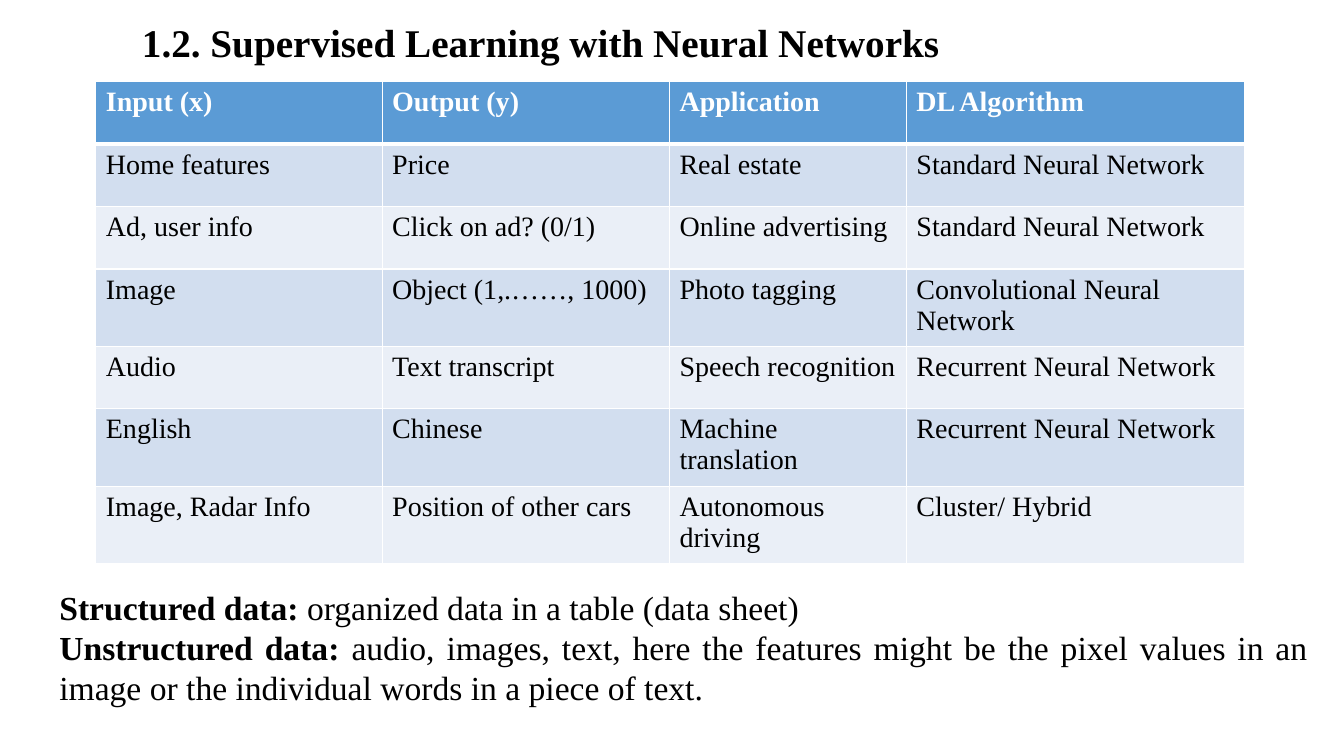
from dataclasses import dataclass

from lxml.etree import SubElement
from pptx import Presentation
from pptx.dml.color import RGBColor
from pptx.enum.text import MSO_AUTO_SIZE as AutoSize, PP_ALIGN as Align
from pptx.oxml.ns import qn
from pptx.slide import Slide
from pptx.table import _Cell as Cell
from pptx.text.text import TextFrame, _Paragraph as Paragraph
from pptx.util import Inches, Pt

FONT = "Times New Roman"
BLACK, WHITE = "000000", "FFFFFF"
HEADER_FILL, BAND_FILLS = "5B9BD5", ("D2DEEF", "EAEFF7")
COL_WIDTHS = (2.84, 2.85, 2.35, 3.35)
ROW_HEIGHT = 0.62


@dataclass
class Example:
    input: str
    output: str
    application: str
    algorithm: str

    def cells(self) -> tuple[str, ...]:
        return self.input, self.output, self.application, self.algorithm


@dataclass
class Definition:
    term: str
    meaning: str


HEADER = Example("Input (x)", "Output (y)", "Application", "DL Algorithm")
EXAMPLES = [
    Example("Home features", "Price", "Real estate", "Standard Neural Network"),
    Example("Ad, user info", "Click on ad? (0/1)", "Online advertising", "Standard Neural Network"),
    Example("Image", "Object (1,.……, 1000)", "Photo tagging", "Convolutional Neural Network"),
    Example("Audio", "Text transcript", "Speech recognition", "Recurrent Neural Network"),
    Example("English", "Chinese", "Machine translation", "Recurrent Neural Network"),
    Example("Image, Radar Info", "Position of other cars", "Autonomous driving", "Cluster/ Hybrid"),
]
DEFINITIONS = [
    Definition("Structured data: ", "organized data in a table (data sheet)"),
    Definition("Unstructured data: ", "audio, images, text, here the features might be the pixel "
               "values in an image or the individual words in a piece of text. "),
]


def rgb(color: str) -> RGBColor:
    return RGBColor.from_string(color)


def add_text(p: Paragraph, text: str, *, size: float, color: str = BLACK, bold: bool = False) -> None:
    r = p.add_run()
    r.text = text
    r.font.name, r.font.size, r.font.bold = FONT, Pt(size), bold
    r.font.color.rgb = rgb(color)


def add_box(slide: Slide, left: float, top: float, width: float, height: float) -> TextFrame:
    tf = slide.shapes.add_textbox(*map(Inches, (left, top, width, height))).text_frame
    tf.word_wrap = True
    tf.auto_size = AutoSize.SHAPE_TO_FIT_TEXT
    return tf


def set_border(cell: Cell, side: str, width: float) -> None:
    ln = SubElement(cell._tc.get_or_add_tcPr(), qn(f"a:ln{side}"), w=str(Pt(width)))
    SubElement(SubElement(ln, qn("a:solidFill")), qn("a:srgbClr"), val=WHITE)


def add_examples(slide: Slide, left: float, top: float) -> None:
    rows = [HEADER, *EXAMPLES]
    size = sum(COL_WIDTHS), ROW_HEIGHT * len(rows)
    table = slide.shapes.add_table(len(rows), len(COL_WIDTHS),
                                   *map(Inches, (left, top, *size))).table
    for column, width in zip(table.columns, COL_WIDTHS):
        column.width = Inches(width)
    for i, example in enumerate(rows):
        table.rows[i].height = Inches(ROW_HEIGHT)
        is_header = i == 0
        for j, text in enumerate(example.cells()):
            cell = table.cell(i, j)
            # Borders: a thicker rule separates the header from the body
            for side in "LRTB":
                set_border(cell, side, 3 if (i, side) in ((0, "B"), (1, "T")) else 1)
            cell.fill.solid()
            cell.fill.fore_color.rgb = rgb(HEADER_FILL if is_header else BAND_FILLS[(i - 1) % 2])
            add_text(cell.text_frame.paragraphs[0], text, size=20,
                     color=WHITE if is_header else BLACK, bold=is_header)


def main() -> None:
    prs = Presentation()
    prs.slide_width, prs.slide_height = Inches(13.33), Inches(7.5)
    slide = prs.slides.add_slide(prs.slide_layouts[6])

    # Title
    tf = add_box(slide, 1.31, 0.13, 10.06, 0.57)
    add_text(tf.paragraphs[0], "1.2. Supervised Learning with Neural Networks", size=28, bold=True)

    # Table of applications
    add_examples(slide, 0.95, 0.81)

    # Definitions
    tf = add_box(slide, 0.49, 5.77, 12.58, 1.31)
    for i, definition in enumerate(DEFINITIONS):
        p = tf.add_paragraph() if i else tf.paragraphs[0]
        p.alignment = Align.JUSTIFY
        add_text(p, definition.term, size=24, bold=True)
        add_text(p, definition.meaning, size=24)

    prs.save("out.pptx")


if __name__ == "__main__":
    main()
